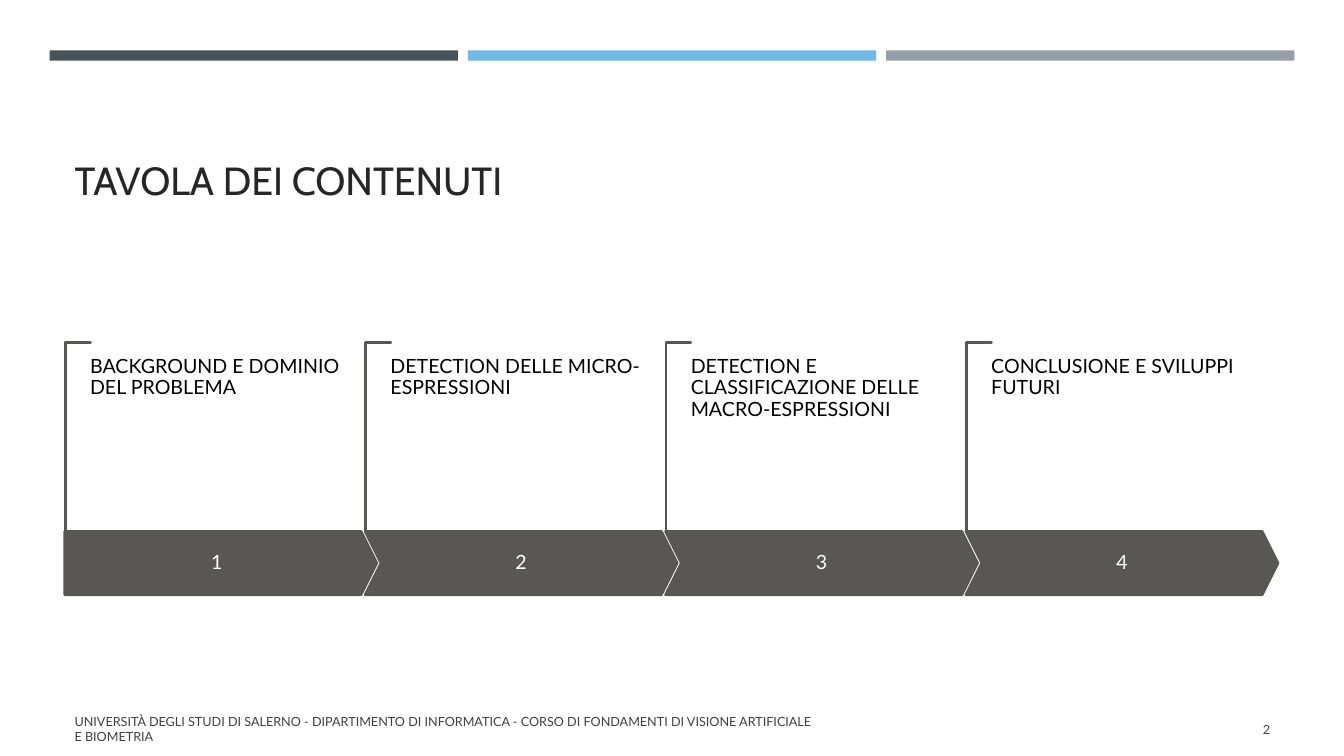
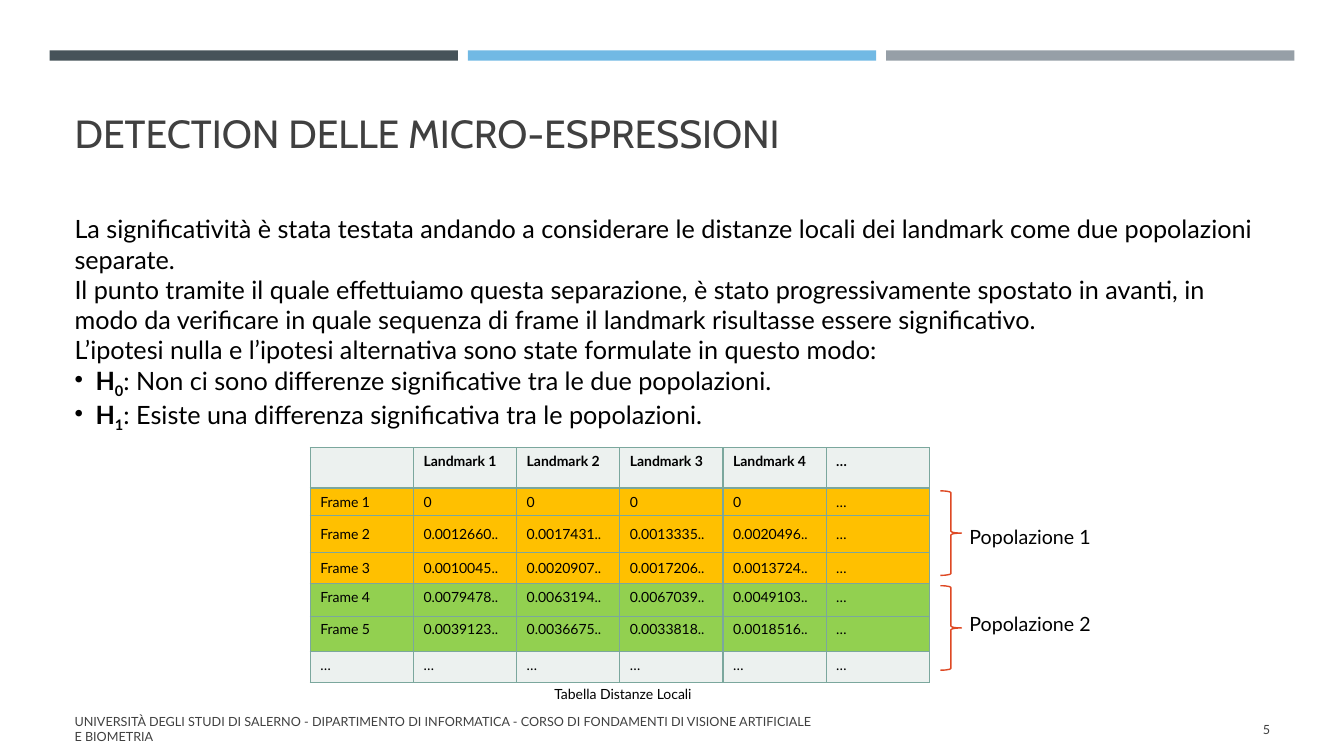
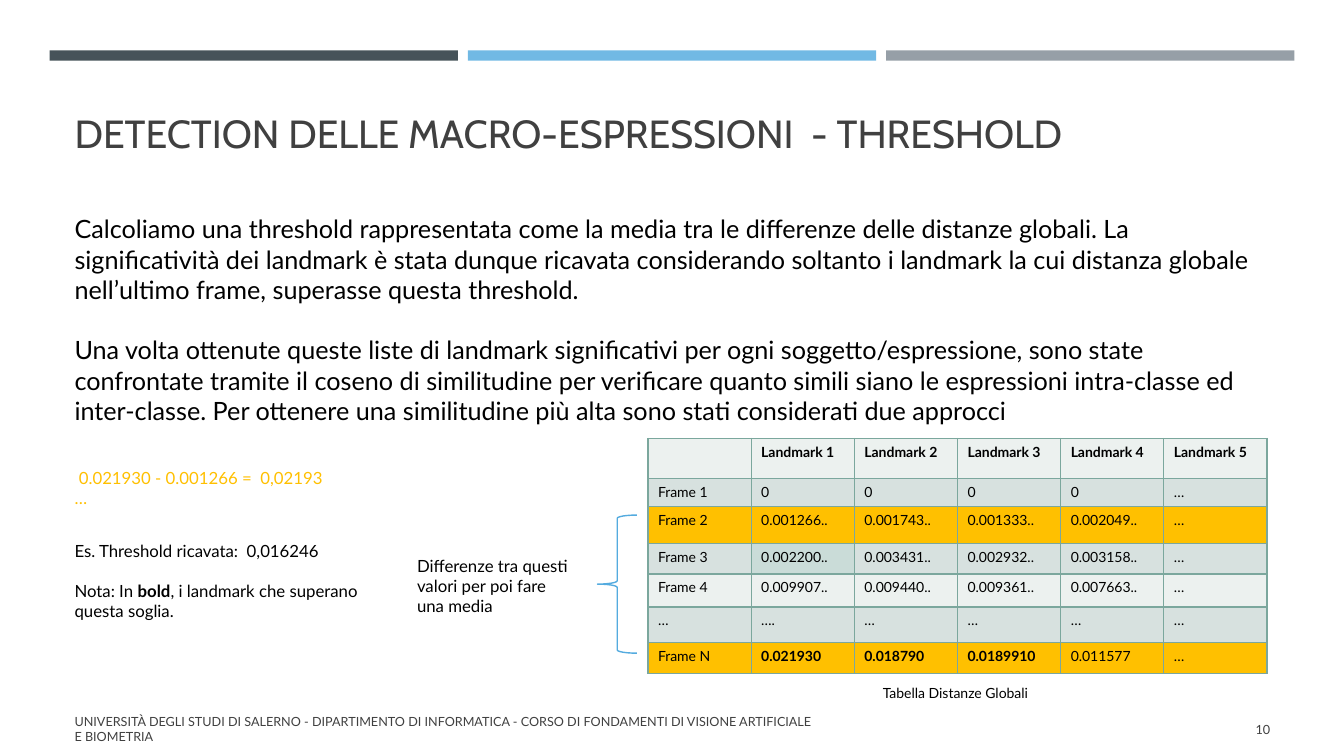
"""Build three slides on the detection of micro and macro expressions."""
from dataclasses import dataclass

from lxml import etree
from pptx import Presentation
from pptx import util as u
from pptx.dml.color import RGBColor
from pptx.enum import shapes, text
from pptx.oxml import ns

Cm, Pt = u.Cm, u.Pt
Kind, Align, Anchor = shapes.MSO_SHAPE, text.PP_ALIGN, text.MSO_ANCHOR


@dataclass(frozen=True)
class Theme:
    """Fonts, type sizes and colours."""
    head: str = "Cabin"
    body: str = "Lato"
    title: int = 28
    main: int = 18
    label: int = 14
    note: int = 12
    cell: int = 10
    foot: int = 9
    bands: tuple = ("465359", "71B9E4", "969FA7")
    ink: str = "000000"
    white: str = "FFFFFF"
    dark: str = "262626"
    gray: str = "404040"
    step: str = "585753"
    sand: str = "EBDDC3"
    gold: str = "FFC000"
    green: str = "92D050"
    pale: str = "ECF1EF"
    mist: str = "D7E1DF"
    teal: str = "CADCD8"
    grid: str = "7BA79D"
    red: str = "DE4823"
    blue: str = "54ABDF"


T = Theme()


def write(frame, paras, size, color=T.ink, font=T.body, align=Align.LEFT):
    """Fill a frame; a paragraph is a string or a list of (text, mark) runs."""
    frame.word_wrap = True
    for i, para in enumerate(paras):
        p = frame.paragraphs[0] if i == 0 else frame.add_paragraph()
        p.alignment = align
        for words, mark in [(para, "")] if isinstance(para, str) else para:
            run = p.add_run()
            run.text = words
            run.font.name, run.font.size = font, Pt(size)
            run.font.bold = mark in ("bold", "sub")
            run.font.color.rgb = RGBColor.from_string(color)
            if mark == "sub":
                run.font._element.set("baseline", "-25000")
    return frame


def draw(page, kind, area, fill=None, line=None, width=1):
    """Add a shape with plain fill and line; the area is in centimetres."""
    form = page.shapes.add_shape(kind, *map(Cm, area))
    form.shadow.inherit = False
    if fill:
        form.fill.solid()
        form.fill.fore_color.rgb = RGBColor.from_string(fill)
    else:
        form.fill.background()
    if line:
        form.line.color.rgb = RGBColor.from_string(line)
        form.line.width = Pt(width)
    else:
        form.line.fill.background()
    return form


deck = Presentation()
deck.slide_width, deck.slide_height = Cm(33.87), Cm(19.05)
left, wide = 1.63, 30.63
foot = ("UNIVERSITÀ DEGLI STUDI DI SALERNO - DIPARTIMENTO DI INFORMATICA - "
        "CORSO DI FONDAMENTI DI VISIONE ARTIFICIALE E BIOMETRIA")
heads = [
    ("TAVOLA DEI CONTENUTI", T.dark, 1.96, "2"),
    ("DETECTION DELLE MICRO-ESPRESSIONI", T.gray, 0.77, "5"),
    ("DETECTION DELLE MACRO-ESPRESSIONI  - THRESHOLD", T.gray, 0.77, "10"),
]
pages = []
for title, color, top, num in heads:
    page = deck.slides.add_slide(deck.slide_layouts[6])
    pages.append(page)
    for i, band in enumerate(T.bands):
        draw(page, Kind.RECTANGLE, (1.25 + 10.54 * i, 1.27, 10.29, 0.26), band)
    box = page.shapes.add_textbox(Cm(left), Cm(top), Cm(wide), Cm(3.3))
    write(box.text_frame, [title], T.title, color, T.head)
    box.text_frame.vertical_anchor = Anchor.BOTTOM
    for x, w, words, align in [(left, 19.2, foot, Align.LEFT),
                               (29.34, 2.92, num, Align.RIGHT)]:
        box = page.shapes.add_textbox(Cm(x), Cm(17.86), Cm(w), Cm(1.02))
        write(box.text_frame, [words], T.foot, T.gray, align=align)
        box.text_frame.vertical_anchor = Anchor.MIDDLE
plan, micro, macro = pages

steps = [
    "BACKGROUND E DOMINIO DEL PROBLEMA",
    "DETECTION DELLE MICRO-ESPRESSIONI",
    "DETECTION E CLASSIFICAZIONE DELLE MACRO-ESPRESSIONI",
    "CONCLUSIONE E SVILUPPI FUTURI",
]
for i, words in enumerate(steps):
    x = left + 7.57 * i
    hook = draw(plan, Kind.CORNER, (x - 2.06, 10.7, 4.78, 0.64),
                T.sand, T.step, 1.75)
    hook.rotation = 90
    hook.adjustments[0] = hook.adjustments[1] = 0.01
    arrow = draw(plan, Kind.CHEVRON if i else Kind.PENTAGON,
                 (x, 13.39, 7.87, 1.6), T.step, T.step, 1.75)
    arrow.adjustments[0] = 0.25
    write(arrow.text_frame, [str(i + 1)], T.label, T.white, align=Align.CENTER)
    arrow.text_frame.vertical_anchor = Anchor.MIDDLE
    box = plan.shapes.add_textbox(Cm(x + 0.64), Cm(8.99), Cm(6.4), Cm(2.92))
    frame = write(box.text_frame, [words], T.label)
    frame.margin_left = frame.margin_right = 0
    frame.margin_top = frame.margin_bottom = 0
    for p in arrow.text_frame.paragraphs + frame.paragraphs:
        p.line_spacing = 0.9

labels = [
    (micro, 24.18, 13.1, 4.3, 0.86, T.label, T.ink, ["Popolazione 1"]),
    (micro, 24.18, 15.29, 4.3, 0.86, T.label, T.ink, ["Popolazione 2"]),
    (micro, 13.72, 17.15, 6, 0.69, T.cell, T.ink, ["Tabella Distanze Locali"]),
    (macro, 22, 17.12, 6, 0.69, T.cell, T.ink, ["Tabella Distanze Globali"]),
    (macro, left, 11.66, 12.83, 1.27, T.note, T.gold,
     [" 0.021930 - 0.001266 =  0,02193", "…"]),
    (macro, 10.26, 13.87, 4.52, 1.8, T.note, T.ink,
     ["Differenze tra questi valori per poi fare una media"]),
]
for page, x, y, w, h, size, color, paras in labels:
    box = page.shapes.add_textbox(Cm(x), Cm(y), Cm(w), Cm(h))
    write(box.text_frame, paras, size, color)

box = micro.shapes.add_textbox(Cm(left), Cm(5.26), Cm(wide), Cm(5.9))
frame = write(box.text_frame, [
    "La significatività è stata testata andando a considerare le distanze "
    "locali dei landmark come due popolazioni separate.",
    "Il punto tramite il quale effettuiamo questa separazione, è stato "
    "progressivamente spostato in avanti, in modo da verificare in quale "
    "sequenza di frame il landmark risultasse essere significativo.",
    "L’ipotesi nulla e l’ipotesi alternativa sono state formulate in questo "
    "modo:",
    [("H", "bold"), ("0", "sub"),
     (": Non ci sono differenze significative tra le due popolazioni.", "")],
    [("H", "bold"), ("1", "sub"),
     (": Esiste una differenza significativa tra le popolazioni.", "")],
], T.main)
for p in frame.paragraphs[3:]:
    props = p._p.get_or_add_pPr()
    props.set("marL", str(Cm(0.53)))
    props.set("indent", str(-Cm(0.53)))
    etree.SubElement(props, ns.qn("a:buChar")).set("char", "•")

box = macro.shapes.add_textbox(Cm(left), Cm(5.26), Cm(wide), Cm(5.6))
frame = write(box.text_frame, [
    "Calcoliamo una threshold rappresentata come la media tra le differenze "
    "delle distanze globali. La significatività dei landmark è stata dunque "
    "ricavata considerando soltanto i landmark la cui distanza globale "
    "nell’ultimo frame, superasse questa threshold.",
    "Una volta ottenute queste liste di landmark significativi per ogni "
    "soggetto/espressione, sono state confrontate tramite il coseno di "
    "similitudine per verificare quanto simili siano le espressioni "
    "intra-classe ed inter-classe. Per ottenere una similitudine più alta "
    "sono stati considerati due approcci",
], T.main)
frame.paragraphs[1].space_before = Pt(1.2 * T.main)

box = macro.shapes.add_textbox(Cm(left), Cm(13.49), Cm(11.28), Cm(2.31))
frame = write(box.text_frame, [
    "Es. Threshold ricavata:  0,016246",
    [("Nota: In ", ""), ("bold", "bold"),
     (", i landmark che superano", "")],
    "questa soglia.",
], T.note)
frame.paragraphs[1].space_before = Pt(1.2 * T.note)

mid, high = Anchor.MIDDLE, Anchor.TOP
near = [
    (T.pale, high, "|Landmark 1|Landmark 2|Landmark 3|Landmark 4|…"),
    (T.gold, mid, "Frame 1|0|0|0|0|…"),
    (T.gold, mid, "Frame 2|0.0012660..|0.0017431..|0.0013335..|0.0020496..|…"),
    (T.gold, mid, "Frame 3|0.0010045..|0.0020907..|0.0017206..|0.0013724..|…"),
    (T.green, high, "Frame 4|0.0079478..|0.0063194..|0.0067039..|0.0049103..|…"),
    (T.green, high, "Frame 5|0.0039123..|0.0036675..|0.0033818..|0.0018516..|…"),
    (T.pale, high, "…|…|…|…|…|…"),
]
full = [
    (T.pale, high, "|Landmark 1|Landmark 2|Landmark 3|Landmark 4|Landmark 5"),
    (T.mist, high, "Frame 1|0|0|0|0|…"),
    (T.gold, high, "Frame 2|0.001266..|0.001743..|0.001333..|0.002049..|…"),
    (T.mist, high, "Frame 3|0.002200..|0.003431..|0.002932..|0.003158..|…"),
    (T.pale, high, "Frame 4|0.009907..|0.009440..|0.009361..|0.007663..|…"),
    (T.mist, high, "…|….|…|…|…|…"),
    (T.gold, high, "Frame N|0.021930|0.018790|0.0189910|0.011577|…"),
]
tall = [0.92, 0.69, 0.94, 0.77, 0.83, 0.9, 0.77]
strong = {"0.021930", "0.018790", "0.0189910"}
tint = {"0.002200..": T.teal}
for page, x, y, rows in [(micro, 7.82, 11.28, near), (macro, 16.33, 11.05, full)]:
    table = page.shapes.add_table(len(rows), 6, Cm(x), Cm(y), Cm(15.6),
                                  Cm(sum(tall))).table
    for col in table.columns:
        col.width = Cm(2.6)
    for r, (fill, anchor, line) in enumerate(rows):
        table.rows[r].height = Cm(tall[r])
        for c, words in enumerate(line.split("|")):
            cell = table.cell(r, c)
            mark = "bold" if r == 0 or words in strong else ""
            write(cell.text_frame, [[(words, mark)]], T.cell)
            cell.vertical_anchor = anchor
            cell.fill.solid()
            cell.fill.fore_color.rgb = RGBColor.from_string(tint.get(words, fill))
            props = cell._tc.get_or_add_tcPr()
            for i, side in enumerate("LRTB"):
                edge = etree.Element(ns.qn("a:ln" + side), w=str(Pt(1)))
                solid = etree.SubElement(edge, ns.qn("a:solidFill"))
                etree.SubElement(solid, ns.qn("a:srgbClr"), val=T.grid)
                props.insert(i, edge)

for y in (12.37, 14.76):
    draw(micro, Kind.RIGHT_BRACE, (23.7, y, 0.53, 2.13), line=T.red)
draw(macro, Kind.LEFT_BRACE, (15.06, 12.98, 0.99, 3.48), line=T.blue)

deck.save("out.pptx")
